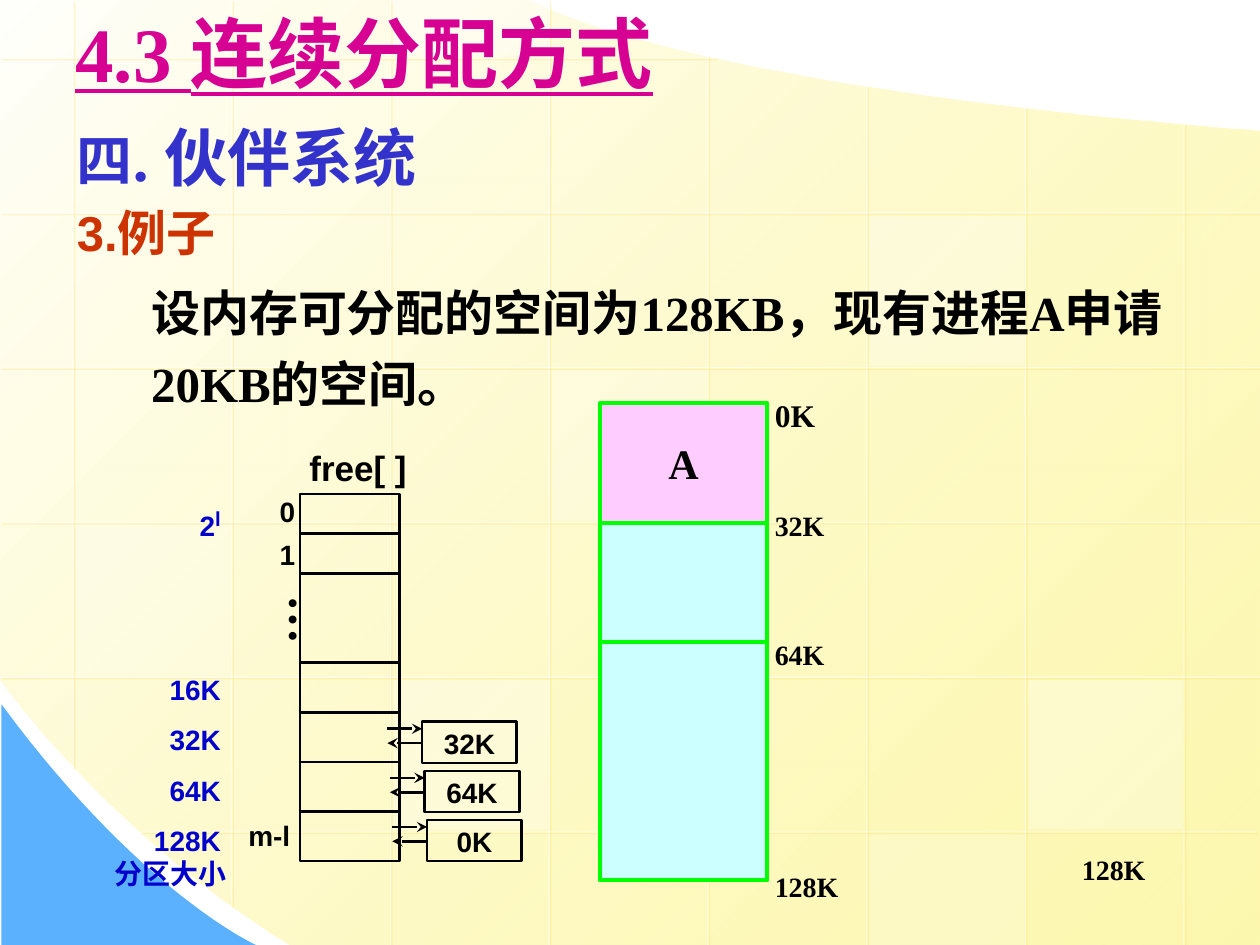
"""Build the slide on the buddy system with its free list and memory map."""
from pptx import Presentation
from pptx.dml.color import RGBColor
from pptx.enum.shapes import MSO_CONNECTOR, MSO_SHAPE
from pptx.enum.text import MSO_ANCHOR, PP_ALIGN
from pptx.oxml import parse_xml
from pptx.oxml.ns import nsdecls
from pptx.util import Cm, Pt

WHITE = RGBColor(0xFF, 0xFF, 0xFF)
BLACK = RGBColor(0, 0, 0)
IVORY = RGBColor(0xFF, 0xFF, 0xFB)
YELLOW = RGBColor(0xFD, 0xF5, 0x8D)
SKY = RGBColor(0x5C, 0xB1, 0xFE)
MAGENTA = RGBColor(0xD6, 0x00, 0x93)
INDIGO = RGBColor(0x33, 0x33, 0xCC)
RUST = RGBColor(0xCC, 0x33, 0x00)
BLUE = RGBColor(0, 0, 0xCC)
GREEN = RGBColor(0, 0xFF, 0)
CYAN = RGBColor(0xCC, 0xFF, 0xFF)
PINK = RGBColor(0xFF, 0xCC, 0xFF)
SANS, SERIF, CHINESE = "Arial", "Times New Roman", "Noto Sans CJK SC"
WIDTH, HEIGHT = 25.4, 19.05

PAGE_OUTLINE = [(25.4, 2.64), (25.4, 19.05), (5.84, 19.05),
                [(2.18, 16.79), (0, 13.69), (0, 13.69)], (0, 0), (10.69, 0),
                [(10.69, 0.03), (13.64, 1.75), (25.4, 2.64)]]
CORNER_OUTLINE = [(0.03, 14.2), (0.03, 19.05), (5.16, 19.05),
                  [(5.16, 19.05), (2.84, 18.01), (0.03, 14.2)]]
COLUMN_SPANS = [(0, 15.47), (0, 18.26), (0, HEIGHT), (0, HEIGHT), (1.09, HEIGHT),
                (1.73, HEIGHT), (2.16, HEIGHT), (2.49, HEIGHT)]
ROW_SPANS = [(0, 14.43)] + [(0, WIDTH)] * 4 + [(2.82, 25.32)]
PANELS = [(3, 2, 25), (6, 4, 30), (0, 3, 20), (5, 5, 20), (2, -1, 40), (2, 4, 30), (5, 1, 30)]

TITLE = [{"runs": [("4.3 连续分配方式", SERIF, 44, MAGENTA, {"underline": True})]}]
BODY = [
    {"runs": [("四", SANS, 32, INDIGO, {}), (". 伙伴系统", SERIF, 36, INDIGO, {})],
     "format": {"line_spacing": Pt(47)}},
    {"runs": [("3.例子", SANS, 28, RUST, {})],
     "format": {"line_spacing": Pt(34), "space_before": Pt(4.7)}},
    {"runs": [("设内存可分配的空间为128KB，现有进程A申请20KB的空间。", SERIF, 28, BLACK, {})],
     "format": {"line_spacing": Pt(40.6), "space_before": Pt(5)}, "indent": 1.5},
]
MEMORY = [("A", 2.41, PINK), ("", 2.41, CYAN), ("", 4.8, CYAN)]
ADDRESSES = [("0K", 15.37, 7.85, 18), ("32K", 15.37, 10.13, 16), ("64K", 15.37, 12.73, 16),
             ("128K", 15.37, 17.4, 16), ("128K", 21.56, 17.07, 16)]
LIST_HEIGHTS = [0.8, 0.8, 1.8, 1, 1, 1, 1]
INDEXES = [("0", 4.7, 9.75, 1.5), ("1", 4.7, 10.62, 1.5), ("m-l", 4.19, 16.28, 1.91)]
SIZES = ["16K", "32K", "64K", "128K"]
BLOCKS = ["32K", "64K", "0K"]
SPACED = {"line_spacing": 1.15}
RIGHT = SPACED | {"alignment": PP_ALIGN.RIGHT}
CENTRED = SPACED | {"alignment": PP_ALIGN.CENTER}


def set_all(target, values):
    for name, value in values.items():
        setattr(target, name, value)


def add_alpha(color, percent):
    color.append(parse_xml(f'<a:alpha {nsdecls("a")} val="{percent * 1000}"/>'))


def write(shape, paragraphs, **frame_format):
    frame = shape.text_frame
    set_all(frame, {"word_wrap": True} | frame_format)
    for number, content in enumerate(paragraphs):
        paragraph = frame.add_paragraph() if number else frame.paragraphs[0]
        set_all(paragraph, content.get("format", {}))
        if "indent" in content:
            paragraph._p.get_or_add_pPr().set("marL", str(Cm(content["indent"])))
        for text, name, size, color, extra in content["runs"]:
            run = paragraph.add_run()
            run.text = text
            set_all(run.font, {"name": name, "size": Pt(size), "bold": True} | extra)
            run.font.color.rgb = color
            run._r.get_or_add_rPr().append(
                parse_xml(f'<a:ea {nsdecls("a")} typeface="{CHINESE}"/>'))


def add_text(slide, box, paragraphs, **frame_format):
    shape = slide.shapes.add_textbox(*map(Cm, box))
    write(shape, paragraphs, **frame_format)
    return shape


def add_label(slide, box, text, name, size, color, layout):
    return add_text(slide, box, [{"runs": [(text, name, size, color, {})], "format": layout}])


def add_box(slide, box, fill=None, line=None, width=1.5, alpha=None):
    shape = slide.shapes.add_shape(MSO_SHAPE.RECTANGLE, *map(Cm, box))
    shape.shadow.inherit = False
    if fill is None:
        shape.fill.background()
    else:
        shape.fill.solid()
        shape.fill.fore_color.rgb = fill
    if alpha:
        add_alpha(shape._element.spPr.xpath(".//a:srgbClr")[0], alpha)
    if line is None:
        shape.line.fill.background()
    else:
        shape.line.color.rgb = line
        shape.line.width = Pt(width)
    return shape


def add_line(slide, ends, color, width, effect=""):
    line = slide.shapes.add_connector(MSO_CONNECTOR.STRAIGHT, *map(Cm, ends))
    line.line.color.rgb = color
    line.line.width = Pt(width)
    line._element.spPr.append(
        parse_xml(f'<a:effectLst {nsdecls("a")}>{effect}</a:effectLst>'))
    return line


def add_arrow(slide, ends):
    arrow = add_line(slide, ends, BLACK, 1.5)
    arrow.line._get_or_add_ln().append(
        parse_xml(f'<a:tailEnd {nsdecls("a")} type="stealth"/>'))


def curve_points(start, controls, steps=30):
    points = [start] + controls
    for step in range(1, steps + 1):
        t = step / steps
        weights = ((1 - t) ** 3, 3 * t * (1 - t) ** 2, 3 * t * t * (1 - t), t ** 3)
        yield tuple(sum(w * p[axis] for w, p in zip(weights, points)) for axis in (0, 1))


def add_outline(slide, outline):
    points = [outline[0]]
    for part in outline[1:]:
        points.extend(curve_points(points[-1], part) if isinstance(part, list) else [part])
    points = [(Cm(x), Cm(y)) for x, y in points]
    builder = slide.shapes.build_freeform(*points[0])
    builder.add_line_segments(points[1:], close=True)
    shape = builder.convert_to_shape()
    shape.shadow.inherit = False
    shape.line.fill.background()
    return shape


def column_x(column):
    return 1.47 + 3.2 * column


def row_y(row):
    return 1.17 + 3.12 * row


def draw_background(slide):
    page = add_outline(slide, PAGE_OUTLINE)
    page.fill.gradient()
    page.fill.gradient_angle = 315
    for stop, color in zip(page.fill.gradient_stops, (IVORY, YELLOW)):
        stop.color.rgb = color
    add_alpha(page._element.spPr.xpath(".//a:srgbClr")[1], 70)
    corner = add_outline(slide, CORNER_OUTLINE)
    corner.fill.solid()
    corner.fill.fore_color.rgb = SKY
    shadow = ('<a:outerShdw dist="17780" dir="2700000"><a:srgbClr val="FFCC00">'
              '<a:alpha val="34000"/></a:srgbClr></a:outerShdw>')
    grid = [(column_x(i), top, column_x(i), end) for i, (top, end) in enumerate(COLUMN_SPANS)]
    grid += [(end, row_y(i), start, row_y(i)) for i, (start, end) in enumerate(ROW_SPANS)]
    for ends in grid:
        line = add_line(slide, ends, WHITE, 0.75, shadow)
        add_alpha(line._element.spPr.xpath("./a:ln//a:srgbClr")[0], 50)
    for column, row, alpha in PANELS:
        top = max(0, row_y(row) + 0.06)
        bottom = min(HEIGHT, row_y(row + 1) - 0.05)
        add_box(slide, (column_x(column) + 0.05, top, 3.12, bottom - top), WHITE, alpha=alpha)


def draw_memory(slide):
    top = 8.13
    for text, height, fill in MEMORY:
        shape = add_box(slide, (12.09, top, 3.38, height), fill, GREEN, 2.25)
        if text:
            write(shape, [{"runs": [(text, SERIF, 24, BLACK, {})],
                           "format": {"alignment": PP_ALIGN.CENTER}}],
                  vertical_anchor=MSO_ANCHOR.MIDDLE)
        top += height
    for text, left, top, size in ADDRESSES:
        add_label(slide, (left, top, 2.13, 0.94), text, SERIF, size, BLACK, {})


def draw_free_list(slide):
    for row, height in enumerate(LIST_HEIGHTS):
        add_box(slide, (6.05, 9.96 + sum(LIST_HEIGHTS[:row]), 2.01, height), line=BLACK)
    add_label(slide, (5.72, 8.74, 3, 1.22), "free[ ]", SANS, 20, BLACK, CENTRED)
    for text, left, top, width in INDEXES:
        add_label(slide, (left, top, width, 1.04), text, SANS, 16, BLACK, RIGHT)
    dots = add_label(slide, (4.95, 11.76, 1.88, 1.6), "…", CHINESE, 28, BLACK, CENTRED)
    dots.text_frame._txBody.bodyPr.set("vert", "eaVert")
    for row, text in enumerate(SIZES):
        add_label(slide, (2.21, 13.34 + 1.01 * row, 2.49, 1.04), text, SANS, 16, BLUE, RIGHT)
    add_label(slide, (1.3, 17.05, 3.51, 1.04), "分区大小", SANS, 16, BLUE, RIGHT)
    power = add_text(slide, (2.21, 9.86, 2.49, 1.04), [
        {"runs": [("2", SANS, 16, BLUE, {}), ("l", SANS, 20, BLUE, {})], "format": RIGHT}])
    power.text_frame.paragraphs[0].runs[1].font._element.set("baseline", "30000")
    for row, text in enumerate(BLOCKS):
        left, top = 8.51 + 0.05 * row, 14.55 + 0.99 * row
        block = add_box(slide, (left, top, 1.91, 0.83), line=BLACK)
        write(block, [{"runs": [(text, SANS, 16, BLACK, {})], "format": CENTRED}],
              margin_top=0, margin_bottom=0, vertical_anchor=MSO_ANCHOR.TOP)
        add_arrow(slide, (left - 0.7, top + 0.14, left, top + 0.14))
        add_arrow(slide, (left, top + 0.43, left - 0.7, top + 0.43))


def main():
    presentation = Presentation()
    set_all(presentation, {"slide_width": Cm(WIDTH), "slide_height": Cm(HEIGHT)})
    slide = presentation.slides.add_slide(presentation.slide_layouts[6])
    draw_background(slide)
    add_text(slide, (1.27, -0.08, 22.86, 2.24), TITLE, vertical_anchor=MSO_ANCHOR.MIDDLE)
    add_text(slide, (1.3, 2.13, 22.86, 15.39), BODY)
    draw_memory(slide)
    draw_free_list(slide)
    presentation.save("out.pptx")


if __name__ == "__main__":
    main()
